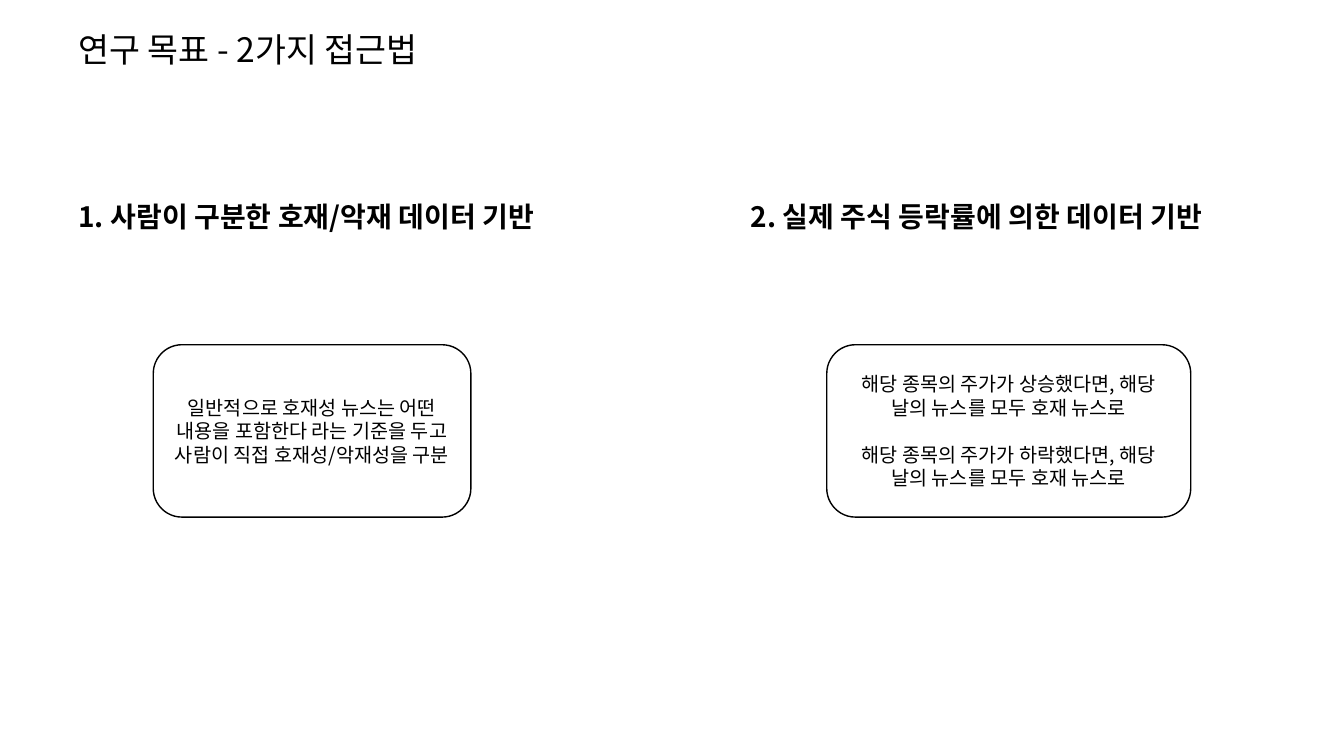
from lxml import etree
from pptx import Presentation
from pptx.dml.color import RGBColor
from pptx.enum import shapes, text
from pptx.oxml.ns import qn
from pptx.util import Inches, Pt

BLACK = RGBColor(0x00, 0x00, 0x00)
WHITE = RGBColor(0xFF, 0xFF, 0xFF)
FONT = "Noto Sans CJK KR"
LEFT, CENTER = text.PP_ALIGN.LEFT, text.PP_ALIGN.CENTER

# Column left edge, heading, card offset, card width, card paragraphs
APPROACHES = [
    (0.68, "1. 사람이 구분한 호재/악재 데이터 기반", 0.84, 3.15,
     ["일반적으로 호재성 뉴스는 어떤 내용을 포함한다 라는 기준을 두고 "
      "사람이 직접 호재성/악재성을 구분"]),
    (7.35, "2. 실제 주식 등락률에 의한 데이터 기반", 0.85, 3.61,
     ["해당 종목의 주가가 상승했다면, 해당 날의 뉴스를 모두 호재 뉴스로",
      "해당 종목의 주가가 하락했다면, 해당 날의 뉴스를 모두 호재 뉴스로"]),
]


def write(sp, lines, size, bold=False, align=LEFT, anchor=text.MSO_ANCHOR.TOP,
          gap=0):
    """Fill a shape with formatted paragraphs, set apart by gap points."""
    tf = sp.text_frame
    frame = {"word_wrap": True, "auto_size": text.MSO_AUTO_SIZE.NONE,
             "vertical_anchor": anchor}
    for name, value in frame.items():
        setattr(tf, name, value)
    for i, line in enumerate(lines):
        p = tf.paragraphs[0] if i == 0 else tf.add_paragraph()
        p.alignment = align
        p.space_before = Pt(gap if i else 0)
        r = p.add_run()
        r.text = line
        for name, value in {"name": FONT, "size": Pt(size), "bold": bold}.items():
            setattr(r.font, name, value)
        r.font.color.rgb = BLACK
        # Korean letters take the East Asian typeface
        etree.SubElement(r.font._element, qn("a:ea"), typeface=FONT)


def add_title(s, x, y, w, h):
    sp = s.shapes.title
    box = {"left": x, "top": y, "width": w, "height": h}
    for name, value in box.items():
        setattr(sp, name, Inches(value))
    write(sp, ["연구 목표 - 2가지 접근법"], 24)


def add_approach(s, x, y, heading, card_dx, card_w, lines):
    # Heading
    sp = s.shapes.add_textbox(Inches(x), Inches(y), Inches(5.3), Inches(0.44))
    write(sp, [heading], 20, bold=True)

    # Rounded card
    sp = s.shapes.add_shape(shapes.MSO_SHAPE.ROUNDED_RECTANGLE,
                            Inches(x + card_dx), Inches(y + 1.49),
                            Inches(card_w), Inches(1.71))
    sp.shadow.inherit = False
    sp.fill.solid()
    sp.fill.fore_color.rgb = WHITE
    sp.line.color.rgb = BLACK
    sp.line.width = Pt(1)
    write(sp, lines, 14, align=CENTER, anchor=text.MSO_ANCHOR.MIDDLE, gap=17)


def main():
    prs = Presentation()
    prs.slide_width, prs.slide_height = Inches(13.33), Inches(7.5)
    s = prs.slides.add_slide(prs.slide_layouts[5])
    add_title(s, 0.68, 0.24, 4.26, 0.5)
    for x, heading, card_dx, card_w, lines in APPROACHES:
        add_approach(s, x, 1.93, heading, card_dx, card_w, lines)
    prs.save("out.pptx")


if __name__ == "__main__":
    main()
